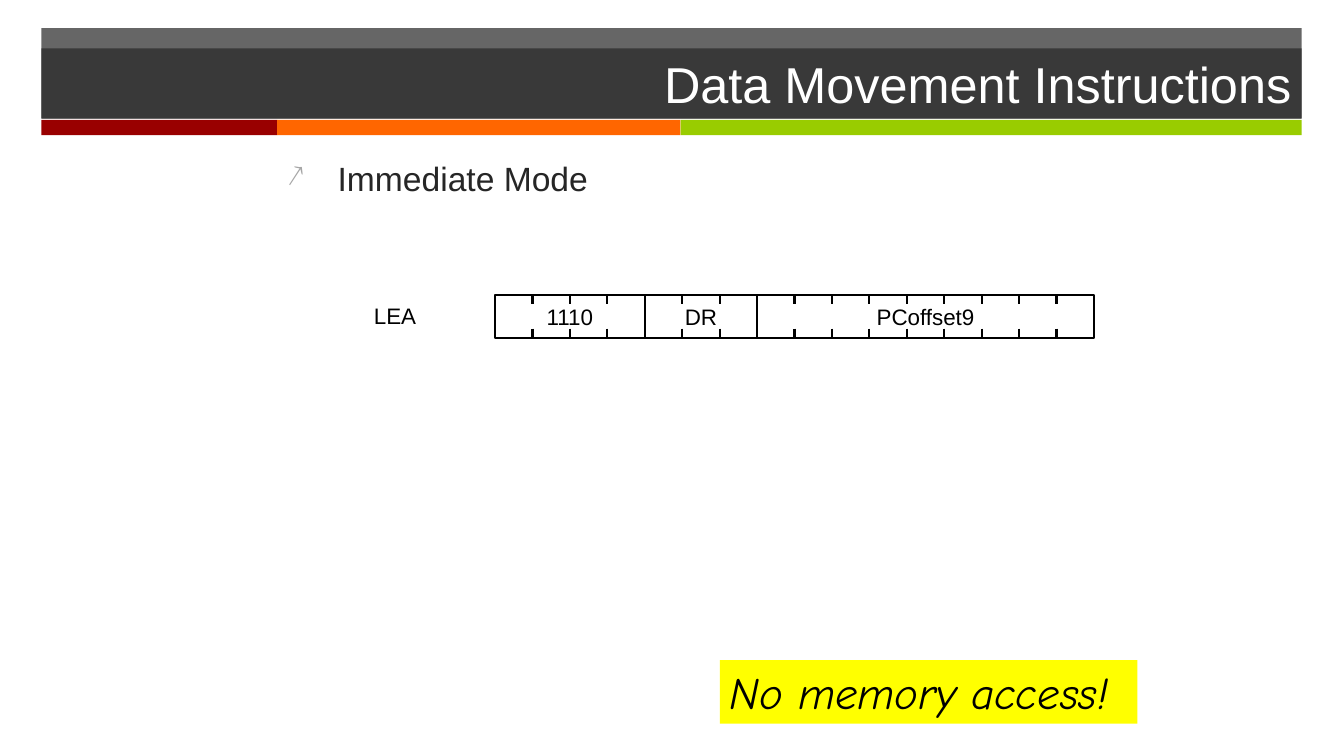
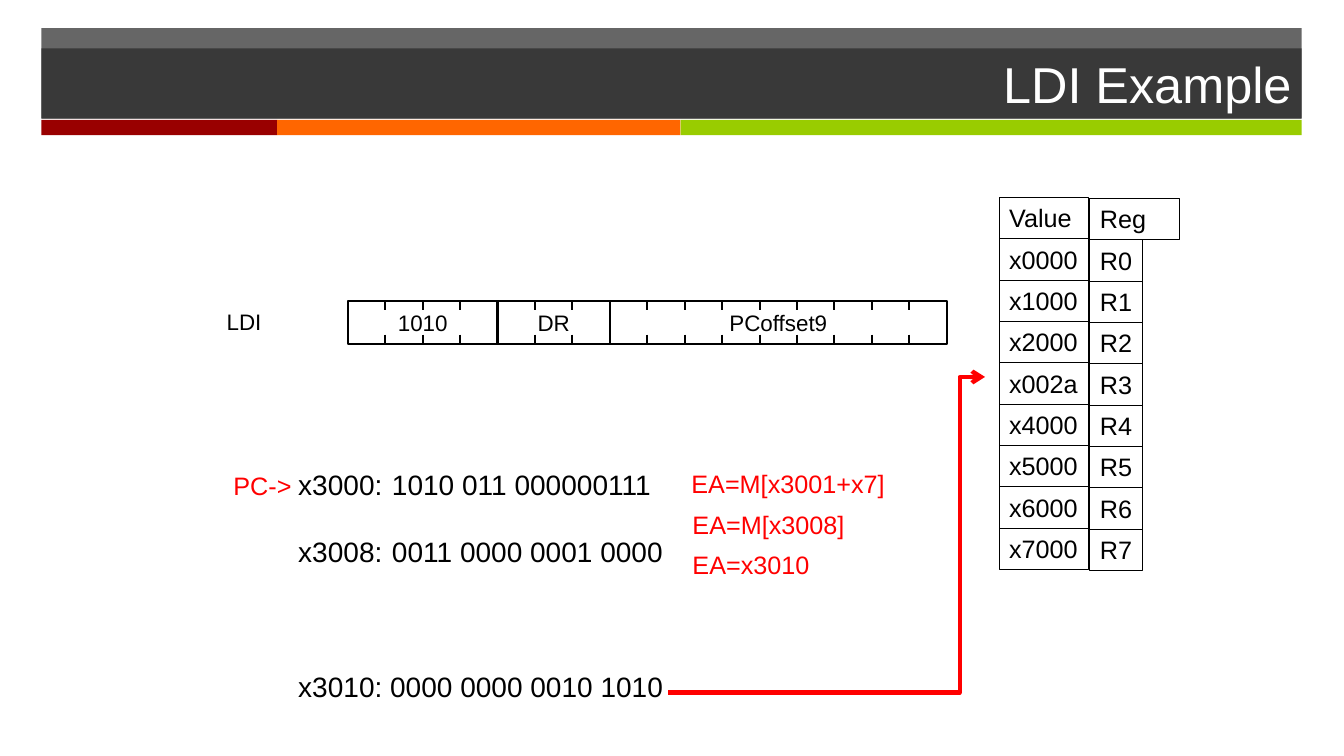
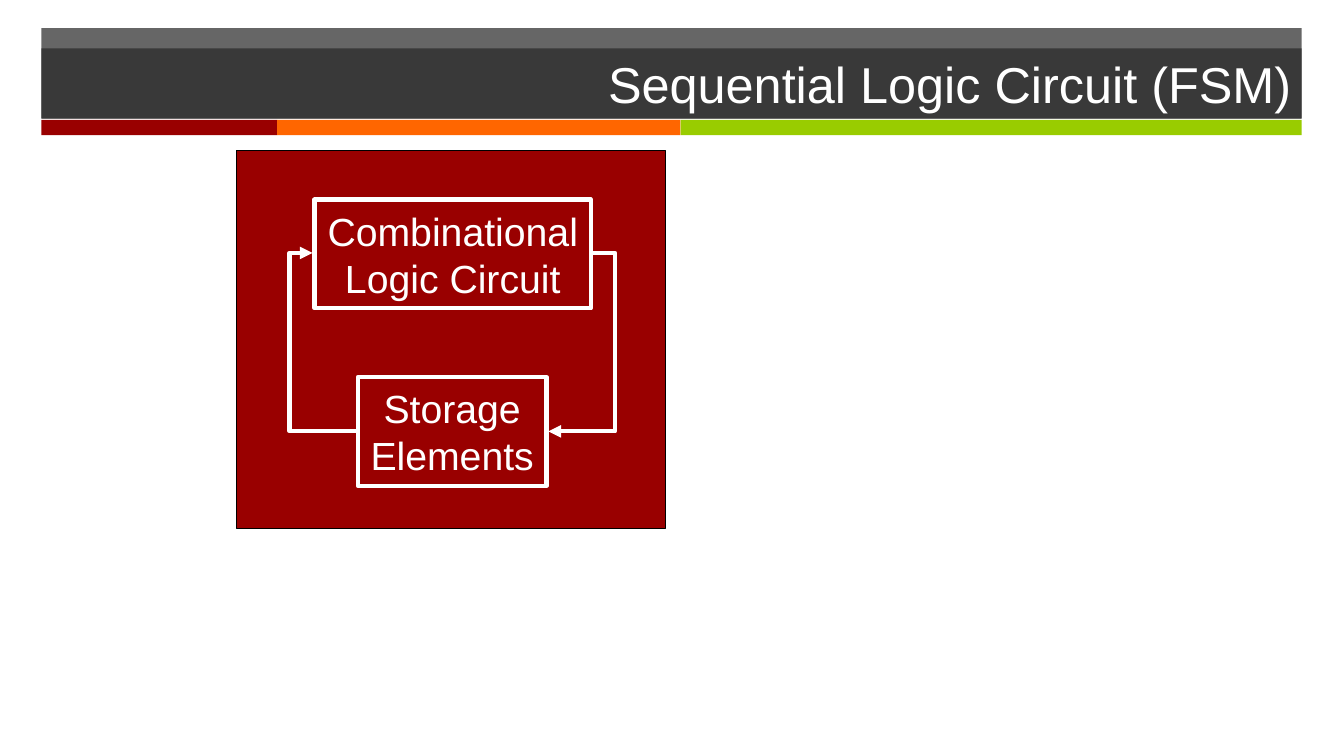
from lxml.etree import SubElement
from pptx import Presentation
from pptx.dml.color import RGBColor
from pptx.enum.shapes import MSO_CONNECTOR as Connector, MSO_SHAPE as Shape
from pptx.enum.text import MSO_ANCHOR as Anchor, PP_ALIGN as Align
from pptx.oxml.ns import qn
from pptx.util import Inches, Pt

COLORS = {
    "charcoal": "262626", "maroon": "990000", "orange": "FF6600",
    "green": "99CC00", "gray": "A6A6A6", "yellow": "FFFF00",
    "red": "FF0000", "black": "000000", "white": "FFFFFF",
}
FONT = "Arial"
ACCENT_FONT = "Comic Neue"
BAND_LEFT, BAND_WIDTH = 0.41, 12.5
STRIPES = [("maroon", 2.34), ("orange", 4), ("green", 6.16)]
WORD_BITS, WORD_WIDTH, FIELD_HEIGHT = 16, 5.94, 0.42
TICK = 0.09


def rgb(name):
    return RGBColor.from_string(COLORS[name])


def add_text(shape, text, size=18, color="black", font=FONT, align=Align.LEFT,
             anchor=Anchor.TOP, italic=False, insets=(0.1, 0.1), gaps=(),
             tab=None, bullet=None):
    """Fill a shape with one paragraph a line; gaps are points before later lines."""
    frame = shape.text_frame
    frame.word_wrap = True
    frame.vertical_anchor = anchor
    frame.margin_left, frame.margin_right = map(Inches, insets)
    frame.margin_top = frame.margin_bottom = Inches(0.05)
    for index, line in enumerate(text.split("\n")):
        paragraph = frame.add_paragraph() if index else frame.paragraphs[0]
        paragraph.alignment = align
        if index and gaps:
            paragraph.space_before = Pt(gaps[index - 1])
        if bullet:
            add_bullet(paragraph, bullet)
        if tab:
            stops = SubElement(paragraph._p.get_or_add_pPr(), qn("a:tabLst"))
            SubElement(stops, qn("a:tab"), pos=str(Inches(tab)), algn="l")
        run = paragraph.add_run()
        run.text = line
        run.font.name, run.font.size = font, Pt(size)
        run.font.italic = italic
        run.font.color.rgb = rgb(color)


def add_bullet(paragraph, char, indent=0.5):
    props = paragraph._p.get_or_add_pPr()
    props.set("marL", str(Inches(indent)))
    props.set("indent", str(-Inches(indent)))
    color = SubElement(props, qn("a:buClr"))
    SubElement(color, qn("a:srgbClr"), val=COLORS["gray"])
    SubElement(props, qn("a:buSzPct"), val="90000")
    SubElement(props, qn("a:buChar"), char=char)


def add_box(slide, left, top, width, height, fill=None, line=None, weight=0.75, alpha=None):
    box = slide.shapes.add_shape(Shape.RECTANGLE, *map(Inches, (left, top, width, height)))
    box.shadow.inherit = False
    if fill:
        box.fill.solid()
        box.fill.fore_color.rgb = rgb(fill)
        if alpha:
            shade = box._element.spPr.find(".//" + qn("a:srgbClr"))
            SubElement(shade, qn("a:alpha"), val=str(alpha * 1000))
    else:
        box.fill.background()
    if line:
        box.line.color.rgb = rgb(line)
        box.line.width = Pt(weight)
    else:
        box.line.fill.background()
    return box


def add_label(slide, left, top, width, height, text, **style):
    label = slide.shapes.add_textbox(*map(Inches, (left, top, width, height)))
    add_text(label, text, **style)


def add_line(slide, start, end, color="black", weight=1.5, head=None, bend=None):
    """Draw a straight line, or an elbow whose middle leg is at bend (share of width)."""
    kind = Connector.STRAIGHT if bend is None else Connector.ELBOW
    line = slide.shapes.add_connector(kind, *map(Inches, (*start, *end)))
    line.line.color.rgb = rgb(color)
    line.line.width = Pt(weight)
    props = line._element.spPr
    if head:
        SubElement(props.find(qn("a:ln")), qn("a:tailEnd"), type=head)
    if bend is not None:
        guides = props.find(qn("a:prstGeom")).get_or_add_avLst()
        SubElement(guides, qn("a:gd"), name="adj1", fmla=f"val {round(bend * 100000)}")
    SubElement(props, qn("a:effectLst"))


def add_header(slide, title):
    add_box(slide, BAND_LEFT, 0.28, BAND_WIDTH, 0.89, fill="charcoal", alpha=70)
    left = BAND_LEFT
    for color, width in STRIPES:
        add_box(slide, left, 1.19, width, 0.15, fill=color)
        left += width
    title_bar = add_box(slide, BAND_LEFT, 0.48, BAND_WIDTH, 0.7, fill="charcoal", alpha=70)
    add_text(title_bar, title, size=36, color="white", align=Align.RIGHT, anchor=Anchor.MIDDLE)


def add_instruction(slide, left, top, mnemonic, opcode):
    """Mnemonic, then a 16-bit word whose fields are ticked off bit by bit."""
    add_label(slide, left, top + 0.02, 1, 0.37, mnemonic, size=16)
    bit = WORD_WIDTH / WORD_BITS
    field_left, bottom = left + 1.3, top + FIELD_HEIGHT
    for name, bits in [(opcode, 4), ("DR", 3), ("PCoffset9", 9)]:
        field = add_box(slide, field_left, top, bits * bit, FIELD_HEIGHT,
                        line="black", weight=1.5)
        add_text(field, name, size=16, align=Align.CENTER, anchor=Anchor.MIDDLE)
        for index in range(1, bits):
            x = field_left + index * bit
            add_line(slide, (x, top), (x, top + TICK))
            add_line(slide, (x, bottom - TICK), (x, bottom))
        field_left += bits * bit


def add_registers(slide, left, top, values):
    row = 0.41
    names = ["Reg"] + [f"R{index}" for index in range(len(values))]
    for index, (value, name) in enumerate(zip(["Value"] + values, names)):
        y = top + index * row
        value_cell = add_box(slide, left, y, 0.89, row, line="black")
        name_cell = add_box(slide, left + 0.9, y + 0.01, 0.52 if index else 0.89, row,
                            line="black")
        for cell, text in ((value_cell, value), (name_cell, name)):
            add_text(cell, text, insets=(0.1, 0))


def add_memory_trace(slide, left, top):
    """Program words in memory, with the address steps to their right."""
    add_label(slide, left, top, 4.4, 2.5,
              "x3000:\t1010 011 000000111\nx3008:\t0011 0000 0001 0000\n"
              "x3010: 0000 0000 0010 1010", size=20, gaps=(24, 72), tab=0.93)
    add_label(slide, left - 1.13, top + 0.03, 1.26, 0.4, "PC->",
              color="red", align=Align.RIGHT)
    steps = ["EA=M[x3001+x7]", "EA=M[x3008]", "EA=x3010"]
    for index, step in enumerate(steps):
        add_label(slide, left + 3.9 + (0.01 if index else 0), top + 0.01 + 0.4 * index,
                  2.24, 0.4, step, color="red")


def add_state_machine(slide, left, top):
    add_box(slide, left, top, 4.25, 3.75, fill="maroon", line="black")
    for dx, dy, width, name in [(0.77, 0.49, 2.74, "Combinational\nLogic Circuit"),
                                (1.2, 2.25, 1.87, "Storage\nElements")]:
        block = add_box(slide, left + dx, top + dy, width, 1.08, line="white", weight=3)
        add_text(block, name, size=28, color="white", align=Align.CENTER,
                 anchor=Anchor.MIDDLE, insets=(0, 0))
    logic_y, storage_y = top + 1.02, top + 2.79
    arrow = {"color": "white", "weight": 3, "head": "triangle"}
    add_line(slide, (left + 3.53, logic_y), (left + 3.09, storage_y), bend=-0.5, **arrow)
    add_line(slide, (left + 1.18, storage_y), (left + 0.75, logic_y), bend=1.53, **arrow)


def build_immediate_mode(slide):
    add_header(slide, "Data Movement Instructions")
    add_label(slide, 2.75, 1.52, 9.25, 0.6, "Immediate Mode", size=24,
              color="charcoal", bullet="↗")
    add_instruction(slide, 3.61, 2.93, "LEA", "1110")
    callout = add_box(slide, 7.14, 6.55, 4.14, 0.63, fill="yellow")
    add_text(callout, "No memory access!", size=32, font=ACCENT_FONT, italic=True,
             insets=(0.1, 0))


def build_ldi_example(slide):
    add_header(slide, "LDI Example")
    add_registers(slide, 9.91, 1.96, ["x0000", "x1000", "x2000", "x002a",
                                      "x4000", "x5000", "x6000", "x7000"])
    add_instruction(slide, 2.15, 2.99, "LDI", "1010")
    add_memory_trace(slide, 2.86, 4.59)
    add_line(slide, (6.63, 6.87), (9.77, 3.74), color="red", weight=3,
             head="arrow", bend=0.92)


def build_sequential_circuit(slide):
    add_header(slide, "Sequential Logic Circuit (FSM)")
    add_state_machine(slide, 2.35, 1.49)


def main():
    deck = Presentation()
    deck.slide_width, deck.slide_height = Inches(13.33), Inches(7.5)
    blank = deck.slide_layouts[6]
    for build in (build_immediate_mode, build_ldi_example, build_sequential_circuit):
        build(deck.slides.add_slide(blank))
    deck.save("out.pptx")


if __name__ == "__main__":
    main()
